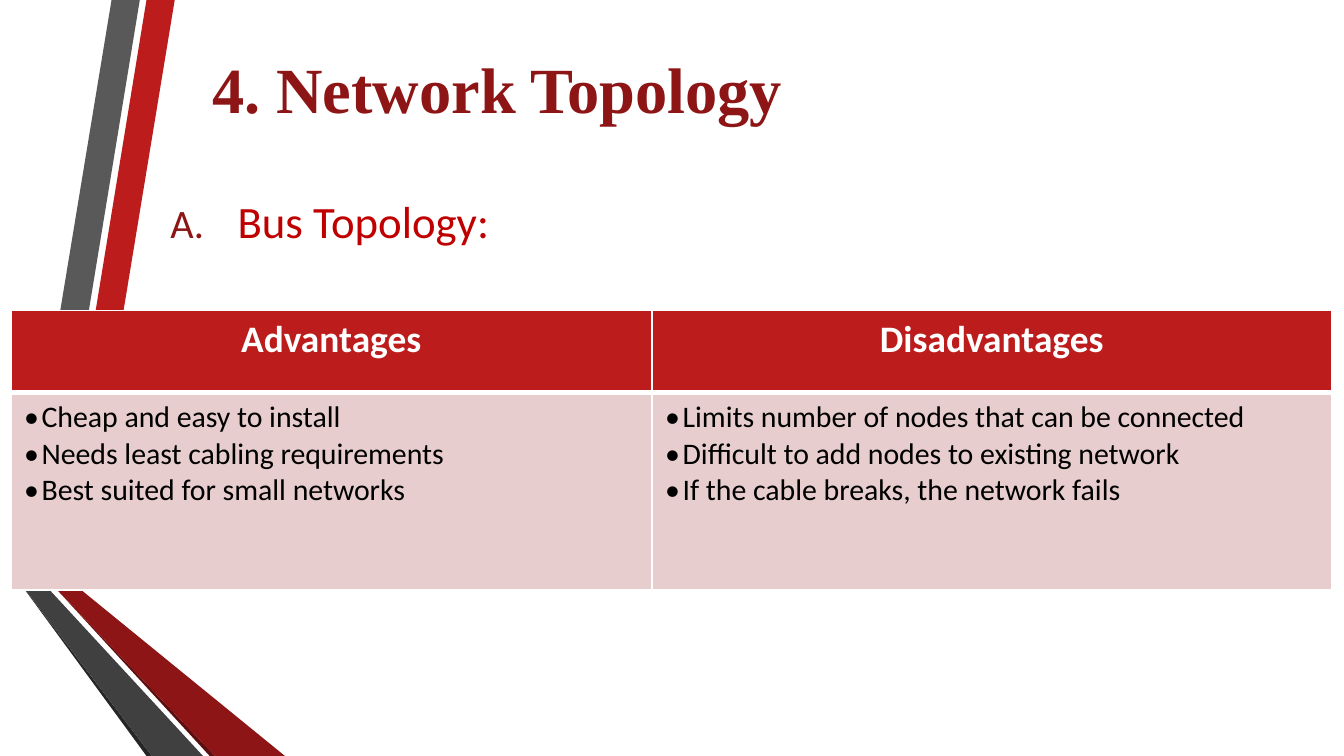
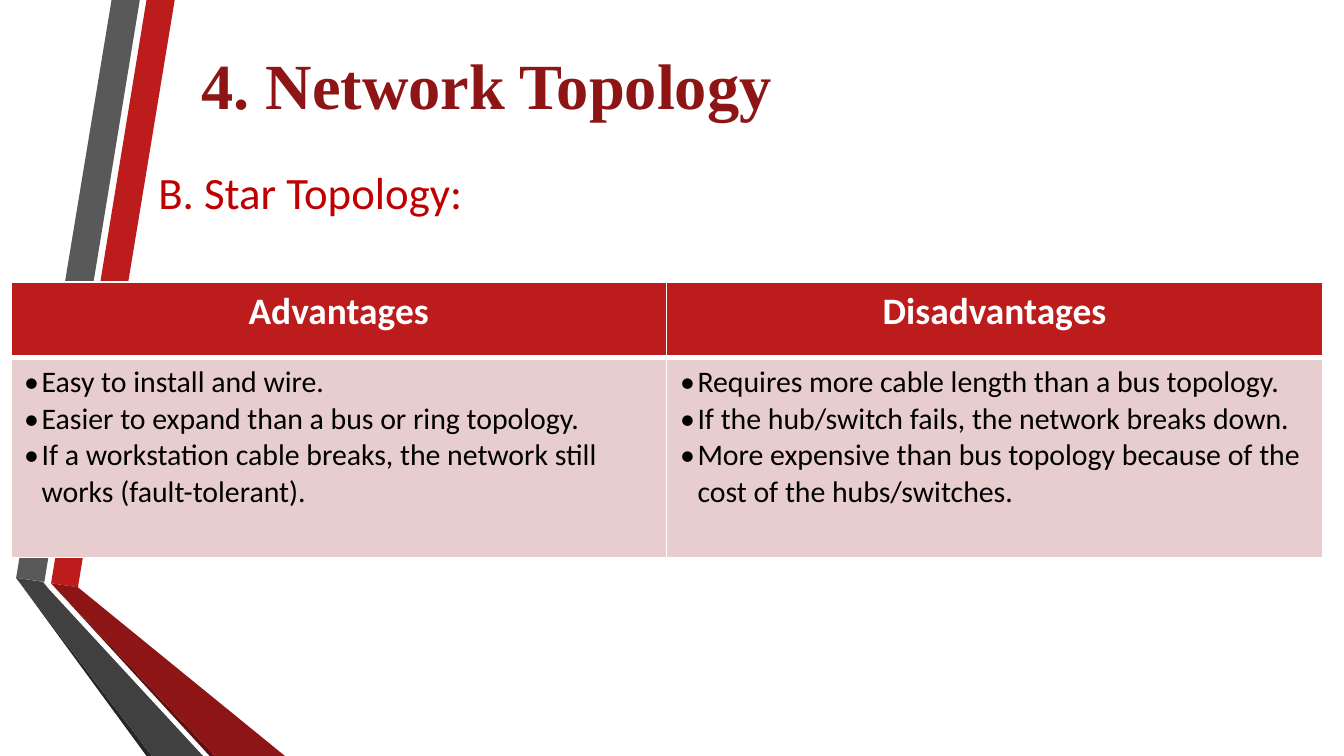
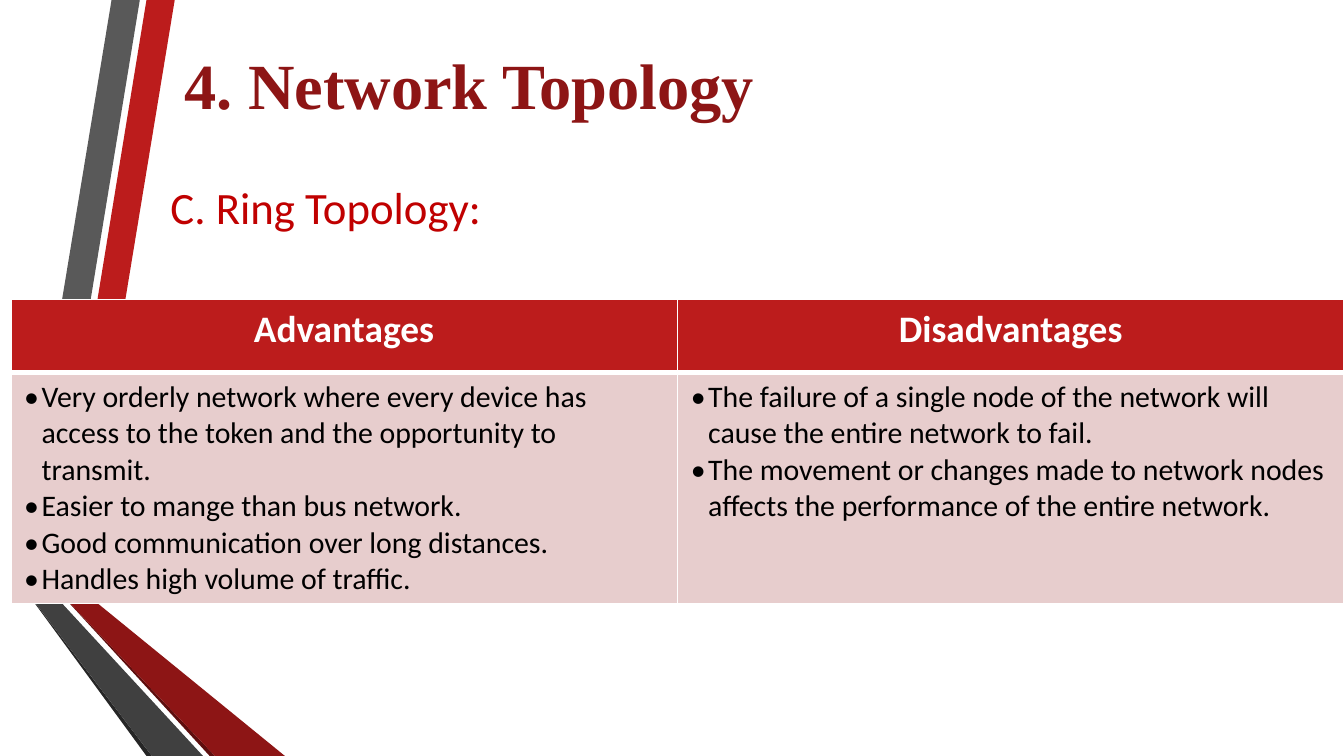
from dataclasses import dataclass

from lxml import etree
from pptx import Presentation
from pptx.dml.color import RGBColor
from pptx.enum.text import MSO_ANCHOR, PP_ALIGN
from pptx.oxml.ns import qn
from pptx.util import Inches, Pt

LEFT, CENTER = PP_ALIGN.LEFT, PP_ALIGN.CENTER
TOP, MIDDLE = MSO_ANCHOR.TOP, MSO_ANCHOR.MIDDLE
WIDTH = 10
HEIGHT = WIDTH * 9 / 16


@dataclass(frozen=True)
class Theme:
    red: str = "BC1C1C"
    dark_red: str = "8D1515"
    deep_red: str = "5E0E0E"
    accent: str = "C00000"
    pink: str = "E7CDCD"
    grey: str = "595959"
    dark_grey: str = "404040"
    deep_grey: str = "262626"
    white: str = "FFFFFF"
    black: str = "000000"
    title_font: str = "Times New Roman"
    body_font: str = "Calibri"
    title_size: float = 34.5
    heading_size: float = 24
    header_size: float = 20
    body_size: float = 16
    thin: float = 1
    thick: float = 3


THEME = Theme()


@dataclass(frozen=True)
class Band:
    color: str
    points: tuple[tuple[float, float], ...]


@dataclass(frozen=True)
class Box:
    left: float
    top: float
    width: float
    height: float


@dataclass(frozen=True)
class Topology:
    heading: str
    title_box: Box
    heading_box: Box
    table_box: Box
    columns: tuple[float, float]
    rows: tuple[float, float]
    advantages: tuple[str, ...]
    disadvantages: tuple[str, ...]
    numbered: bool = False


TITLE = "4. Network Topology"

# Folded ribbons down the left edge
BANDS = (
    Band(THEME.red, ((0.38, 4.34), (0.58, 4.37), (1.3, 0), (1.09, 0))),
    Band(THEME.grey, ((1.04, 0), (0.83, 0), (0.12, 4.3), (0.33, 4.33))),
    Band(THEME.deep_grey, ((0.12, 4.3), (1.09, HEIGHT), (1.13, HEIGHT))),
    Band(THEME.deep_red, ((0.38, 4.34), (1.56, HEIGHT), (1.6, HEIGHT))),
    Band(THEME.dark_red, ((0.38, 4.34), (1.6, HEIGHT), (2.12, HEIGHT), (0.58, 4.37))),
    Band(THEME.dark_grey, ((1.51, HEIGHT), (0.36, 4.38), (0.32, 4.33), (0.12, 4.3),
                           (1.13, HEIGHT))),
)

TOPOLOGIES = (
    Topology(
        "Bus Topology:",
        Box(1.58, 0.34, 8.67, 0.62), Box(1.17, 1.39, 9.83, 0.5), Box(0.08, 2.31, 9.83, 2.08),
        (4.77, 5.06), (0.61, 1.47),
        ("Cheap and easy to install",
         "Needs least cabling requirements",
         "Best suited for small networks"),
        ("Limits number of nodes that can be connected",
         "Difficult to add nodes to existing network",
         "If the cable breaks, the network fails"),
        numbered=True,
    ),
    Topology(
        "B. Star Topology:",
        Box(1.5, 0.31, 8.67, 0.62), Box(1.08, 1.18, 9.83, 0.67), Box(0.08, 2.1, 9.75, 2.05),
        (4.88, 4.88), (0.56, 1.49),
        ("Easy to install and wire.",
         "Easier to expand than a bus or ring topology.",
         "If a workstation cable breaks, the network still works (fault-tolerant)."),
        ("Requires more cable length than a bus topology.",
         "If the hub/switch fails, the network breaks down.",
         "More expensive than bus topology because of the cost of the hubs/switches."),
    ),
    Topology(
        "C. Ring Topology:",
        Box(1.37, 0.31, 8.67, 0.62), Box(1.17, 1.29, 9.58, 0.58), Box(0.08, 2.23, 9.92, 2.26),
        (4.96, 4.96), (0.54, 1.72),
        ("Very orderly network where every device has access to the token "
         "and the opportunity to transmit.",
         "Easier to mange than bus network.",
         "Good communication over long distances.",
         "Handles high volume of traffic."),
        ("The failure of a single node of the network will cause the entire network to fail.",
         "The movement or changes made to network nodes affects the performance "
         "of the entire network."),
    ),
)


def rgb(color: str) -> RGBColor:
    return RGBColor.from_string(color)


def emu(box: Box) -> tuple:
    return tuple(Inches(v) for v in (box.left, box.top, box.width, box.height))


# Text
def write(p, text: str, *, size: float, color: str, font: str = THEME.body_font,
          bold: bool = False, align=LEFT, before: float = 0) -> None:
    p.alignment = align
    p.space_before = Pt(before)
    r = p.add_run()
    r.text = text
    r.font.size = Pt(size)
    r.font.name = font
    r.font.bold = bold
    r.font.color.rgb = rgb(color)


def add_marker(p, indent: float, tag: str, **attrs: str):
    """Hang a bullet or number in front of a paragraph."""
    pPr = p._p.get_or_add_pPr()
    pPr.set("marL", str(Inches(indent)))
    pPr.set("indent", str(-Inches(indent)))
    return etree.SubElement(pPr, qn(tag), attrs)


def add_text(slide, box: Box, text: str, *, anchor=TOP, inset: float | None = None, **fmt):
    tf = slide.shapes.add_textbox(*emu(box)).text_frame
    tf.word_wrap = True
    tf.vertical_anchor = anchor
    if inset is not None:
        tf.margin_left = tf.margin_top = tf.margin_right = tf.margin_bottom = Inches(inset)
    p = tf.paragraphs[0]
    write(p, text, **fmt)
    return p


def add_number(p) -> None:
    number = add_marker(p, 0.5, "a:buAutoNum", type="alphaUcPeriod")
    color = etree.Element(qn("a:buClr"))
    etree.SubElement(color, qn("a:srgbClr"), val=THEME.dark_red)
    number.addprevious(color)
    number.addprevious(etree.Element(qn("a:buSzPct"), val="90000"))


def add_bullet(p) -> None:
    bullet = add_marker(p, 0.13, "a:buChar", char="•")
    bullet.addprevious(etree.Element(qn("a:buFont"), typeface=THEME.body_font))


# Ribbons
def add_bands(slide) -> None:
    group = slide.shapes.add_group_shape()
    for band in BANDS:
        start, *rest = [(Inches(x), Inches(y)) for x, y in band.points]
        builder = group.shapes.build_freeform(*start)
        builder.add_line_segments(rest, close=True)
        sp = builder.convert_to_shape()
        sp.shadow.inherit = False
        sp.fill.solid()
        sp.fill.fore_color.rgb = rgb(band.color)
        sp.line.fill.background()


# Comparison table
def style_cell(cell, fill: str, top: float, bottom: float) -> None:
    tcPr = cell._tc.get_or_add_tcPr()
    borders = {"L": THEME.thin, "R": THEME.thin, "T": top, "B": bottom}
    for side, width in borders.items():
        ln = etree.SubElement(tcPr, qn(f"a:ln{side}"), w=str(Pt(width)))
        solid = etree.SubElement(ln, qn("a:solidFill"))
        etree.SubElement(solid, qn("a:srgbClr"), val=THEME.white)
    cell.fill.solid()
    cell.fill.fore_color.rgb = rgb(fill)


def add_comparison(slide, topology: Topology) -> None:
    table = slide.shapes.add_table(2, 2, *emu(topology.table_box)).table
    table.first_row = table.horz_banding = False
    for row, height in zip(table.rows, topology.rows):
        row.height = Inches(height)

    lists = (("Advantages", topology.advantages), ("Disadvantages", topology.disadvantages))
    for i, (header, items) in enumerate(lists):
        table.columns[i].width = Inches(topology.columns[i])
        head, body = table.cell(0, i), table.cell(1, i)
        style_cell(head, THEME.red, THEME.thin, THEME.thick)
        style_cell(body, THEME.pink, THEME.thick, THEME.thin)
        write(head.text_frame.paragraphs[0], header, size=THEME.header_size,
              color=THEME.white, bold=True, align=CENTER)
        tf = body.text_frame
        for n, item in enumerate(items):
            p = tf.add_paragraph() if n else tf.paragraphs[0]
            write(p, item, size=THEME.body_size, color=THEME.black)
            add_bullet(p)


def add_topology(prs, topology: Topology) -> None:
    slide = prs.slides.add_slide(prs.slide_layouts[6])
    slide.background.fill.solid()
    slide.background.fill.fore_color.rgb = rgb(THEME.white)
    add_bands(slide)
    add_text(slide, topology.title_box, TITLE, anchor=MIDDLE, inset=0, bold=True,
             size=THEME.title_size, color=THEME.dark_red, font=THEME.title_font)
    p = add_text(slide, topology.heading_box, topology.heading, before=7,
                 size=THEME.heading_size, color=THEME.accent)
    if topology.numbered:
        add_number(p)
    add_comparison(slide, topology)


def main() -> None:
    prs = Presentation()
    prs.slide_width, prs.slide_height = Inches(WIDTH), Inches(HEIGHT)
    for topology in TOPOLOGIES:
        add_topology(prs, topology)
    prs.save("out.pptx")


if __name__ == "__main__":
    main()
